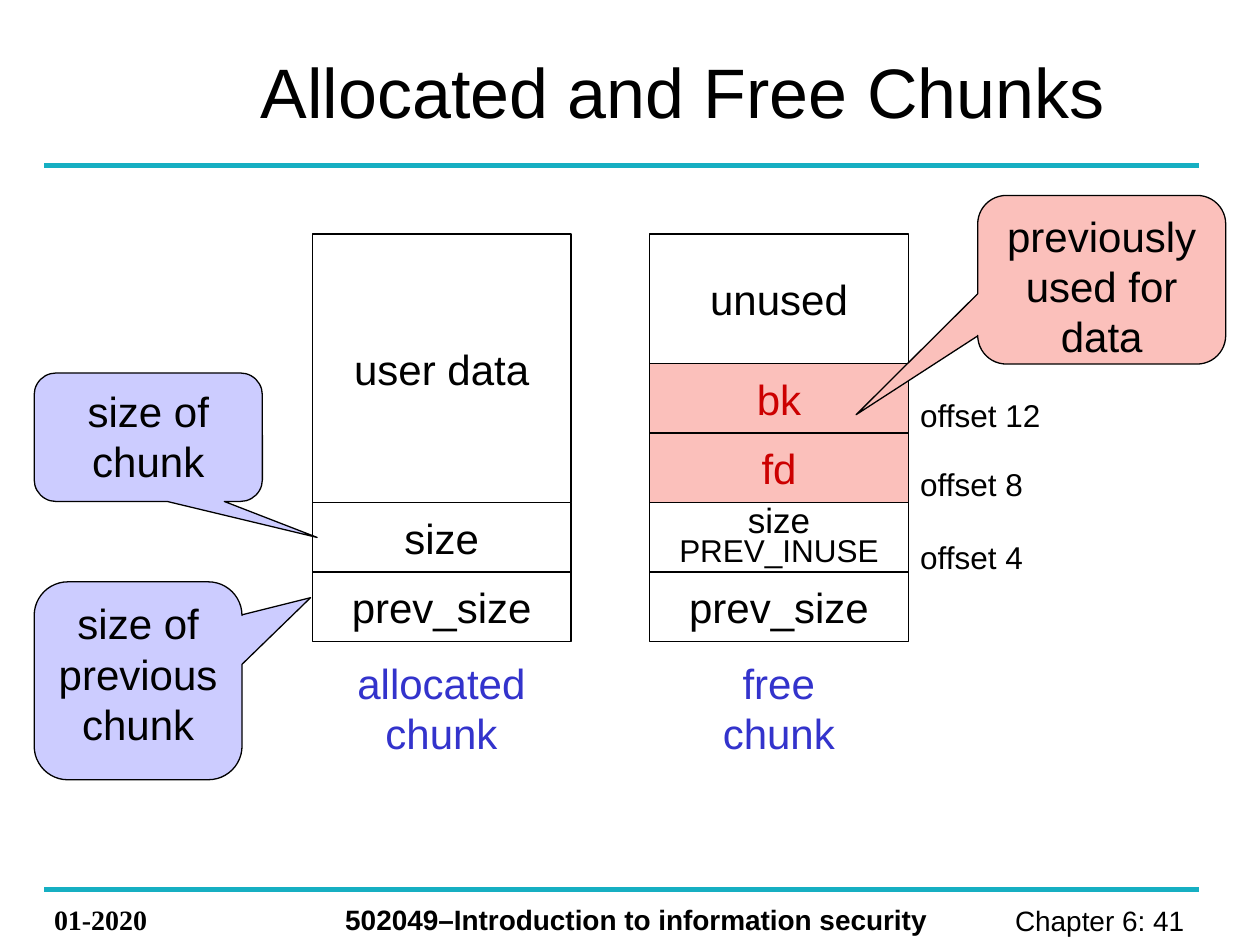
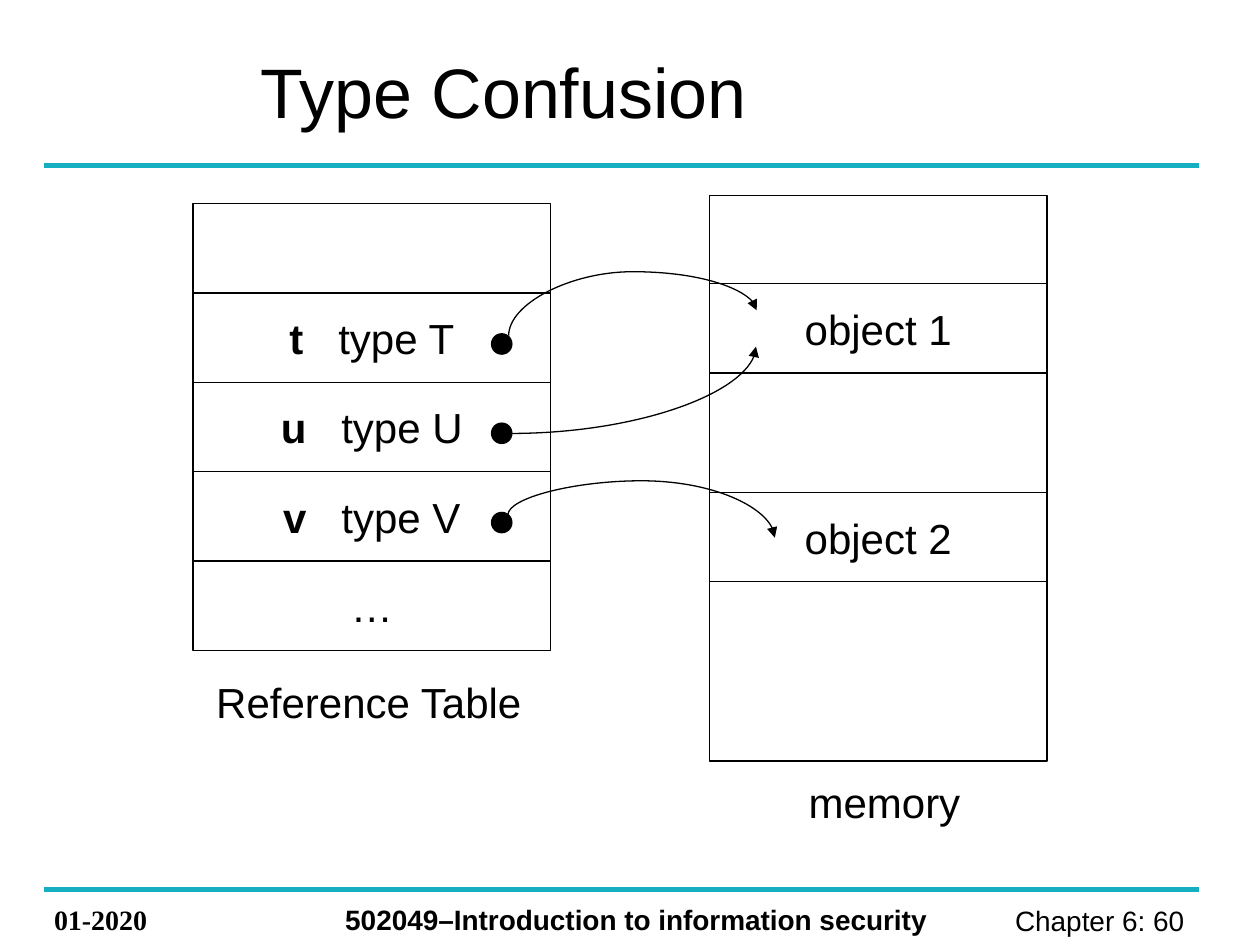
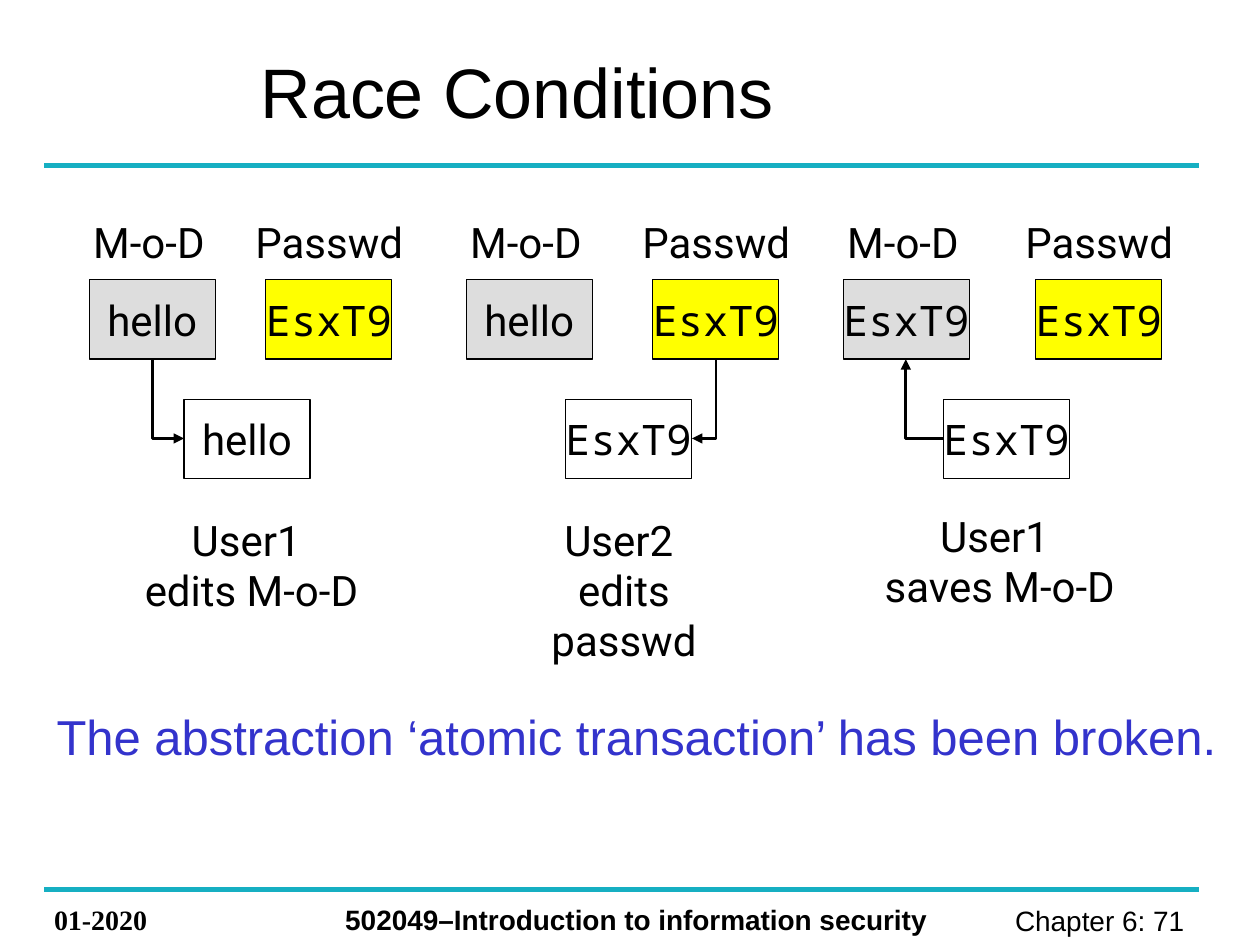
"""Three lecture slides on memory chunks, type confusion and race conditions."""
from dataclasses import dataclass, replace
from typing import Optional

from lxml import etree
from pptx import Presentation
from pptx import util as u
from pptx.dml.color import RGBColor
from pptx.enum import shapes, text
from pptx.oxml.ns import qn
from pptx.shapes.autoshape import Shape
from pptx.shapes.connector import Connector
from pptx.slide import Slide
from pptx.text.text import TextFrame

BLACK, BLUE, RED, TEAL = "000000", "3333CC", "CC0000", "16AFC2"
PINK, LILAC, GREY, YELLOW = "FBC0BB", "CCCCFF", "DDDDDD", "FFFF00"
SANS, SERIF, ROBOTO, MONO = "Arial", "Times New Roman", "Roboto", "Noto Sans Mono"
LEFT, CENTER, RIGHT = text.PP_ALIGN.LEFT, text.PP_ALIGN.CENTER, text.PP_ALIGN.RIGHT
RECT = shapes.MSO_SHAPE.RECTANGLE


@dataclass(frozen=True)
class Style:
    """Look of a text."""
    size: float = 24
    font: str = SANS
    color: str = BLACK
    bold: bool = False
    align: int = CENTER
    wrap: bool = False


@dataclass(frozen=True)
class Area:
    """Place and size in centimetres."""
    left: float
    top: float
    width: float
    height: float

    def lengths(self) -> tuple:
        """Return the four values as lengths."""
        return u.Cm(self.left), u.Cm(self.top), u.Cm(self.width), u.Cm(self.height)


@dataclass(frozen=True)
class Cell:
    """One block of a memory column."""
    label: str
    height: float
    fill: Optional[str] = None
    color: str = BLACK


@dataclass(frozen=True)
class Route:
    """A bent or curved arrow: its frame before turning, then how it is turned."""
    preset: str
    area: Area
    turn: int = 0
    flip: str = ""
    bend: Optional[int] = None


@dataclass(frozen=True)
class Step:
    """One stage of the race: box positions, contents, arrow and caption."""
    file_left: float
    secret_left: float
    copy_left: float
    file_text: str
    copy_text: str
    arrow: Route
    caption: str
    caption_area: Area


BODY = Style()
NOTE = Style(align=LEFT)
FOOTER = Style(size=16, bold=True, align=LEFT, wrap=True)


def rgb(color: str) -> RGBColor:
    """Turn a hex string into a colour."""
    return RGBColor.from_string(color)


def format_run(span, style: Style) -> None:
    """Give one run its size, font, weight and colour."""
    font = span.font
    font.size, font.name, font.bold = u.Pt(style.size), style.font, style.bold
    font.color.rgb = rgb(style.color)


def write(frame: TextFrame, words: str, style: Style) -> None:
    """Fill a text frame and format its runs."""
    frame.text = words
    frame.word_wrap = style.wrap
    for para in frame.paragraphs:
        para.alignment = style.align
        for span in para.runs:
            format_run(span, style)


def add_text(page: Slide, area: Area, words: str, style: Style = NOTE) -> None:
    """Add a text box that grows with its text."""
    frame = page.shapes.add_textbox(*area.lengths()).text_frame
    write(frame, words, style)
    frame.auto_size = text.MSO_AUTO_SIZE.SHAPE_TO_FIT_TEXT


def add_box(page: Slide, area: Area, words: str = "", fill: Optional[str] = None,
            style: Style = BODY, kind: int = RECT) -> Shape:
    """Add a thinly outlined shape with centred text."""
    box = page.shapes.add_shape(kind, *area.lengths())
    box.shadow.inherit = False
    if fill:
        box.fill.solid()
        box.fill.fore_color.rgb = rgb(fill)
    else:
        box.fill.background()
    box.line.color.rgb = rgb(BLACK)
    box.line.width = u.Pt(0.75)
    box.text_frame.vertical_anchor = text.MSO_ANCHOR.MIDDLE
    if words:
        write(box.text_frame, words, style)
    return box


def add_callout(page: Slide, area: Area, words: str, fill: str, tip: tuple) -> None:
    """Add a rounded speech bubble whose tip is given relative to its centre."""
    box = add_box(page, area, words, fill, replace(BODY, wrap=True),
                  shapes.MSO_SHAPE.ROUNDED_RECTANGULAR_CALLOUT)
    box.text_frame.vertical_anchor = text.MSO_ANCHOR.TOP
    for index, value in enumerate((*tip, 0.17)):
        box.adjustments[index] = value


def add_stack(page: Slide, left: float, top: float, width: float, cells: list) -> list:
    """Pile cells downwards and return their boxes."""
    boxes = []
    for cell in cells:
        boxes.append(add_box(page, Area(left, top, width, cell.height), cell.label,
                             cell.fill, replace(BODY, color=cell.color)))
        top += cell.height
    return boxes


def add_line(page: Slide, area: Area, color: str, weight: float) -> Connector:
    """Add a straight line across an area."""
    left, top, width, height = area.lengths()
    line = page.shapes.add_connector(shapes.MSO_CONNECTOR.STRAIGHT, left, top,
                                     left + width, top + height)
    line.line.color.rgb = rgb(color)
    line.line.width = u.Pt(weight)
    etree.SubElement(line.element.spPr, qn("a:effectLst"))
    return line


def add_arrow(page: Slide, route: Route, weight: float) -> None:
    """Add a bent or curved arrow."""
    arrow = add_line(page, route.area, BLACK, weight)
    props = arrow.element.spPr
    frame, shape = props.find(qn("a:xfrm")), props.find(qn("a:prstGeom"))
    frame.set("rot", str(route.turn * 60000))
    if route.flip:
        frame.set("flip" + route.flip, "1")
    shape.set("prst", route.preset)
    if route.bend is not None:
        etree.SubElement(shape.find(qn("a:avLst")), qn("a:gd"),
                         name="adj1", fmla=f"val {route.bend}")
    etree.SubElement(props.find(qn("a:ln")), qn("a:tailEnd"), type="triangle")


def add_page(deck, title: str, number: int) -> Slide:
    """Add a slide with title, two bands and footers."""
    page = deck.slides.add_slide(deck.slide_layouts[5])
    for top in (3.33, 17.93):
        add_line(page, Area(0.89, top, 23.29, 0), TEAL, 3)
    add_text(page, Area(18.69, 18.08, 5.59, 0.94), f"Chapter 6: {number} ",
             replace(FOOTER, bold=False, align=RIGHT))
    add_text(page, Area(0.84, 18.06, 3.38, 0.94), "01-2020", replace(FOOTER, font=SERIF))
    add_text(page, Area(6.71, 18.06, 12.8, 0.94),
             "502049–Introduction to information security", FOOTER)
    head = page.shapes.title
    head.left, head.top, head.width, head.height = Area(5, 0.71, 20.4, 2.21).lengths()
    write(head.text_frame, title, Style(size=40, align=LEFT, wrap=True))
    head.text_frame.vertical_anchor = text.MSO_ANCHOR.MIDDLE
    head.text_frame.auto_size = text.MSO_AUTO_SIZE.NONE
    return page


def draw_chunks(deck) -> None:
    """Compare an allocated chunk with a free one."""
    page = add_page(deck, "Allocated and Free Chunks", 41)
    top, width, unit = 4.72, 5.21, 1.4
    used_left, free_left = 6.3, 13.1
    add_stack(page, used_left, top, width, [
        Cell("user data", 5.41), Cell("size", unit), Cell("prev_size", unit)])
    free = add_stack(page, free_left, top, width, [
        Cell("unused", 2.61), Cell("bk", unit, PINK, RED), Cell("fd", unit, PINK, RED),
        Cell("size\nPREV_INUSE", unit), Cell("prev_size", unit)])
    for para, size, spacing in zip(free[3].text_frame.paragraphs, (20, 18), (0.8, 0.75)):
        para.line_spacing = spacing
        para.runs[0].font.size = u.Pt(size)
    for left, words in ((used_left, "allocated\nchunk"), (free_left, "free chunk")):
        add_text(page, Area(left + 0.57, 13.13, 4.06, 2.29), words,
                 Style(color=BLUE, wrap=True))
    add_callout(page, Area(0.69, 7.52, 4.6, 2.59), "size of chunk", LILAC, (0.74, 0.78))
    add_callout(page, Area(0.69, 11.73, 4.19, 3.99), "size of previous chunk", LILAC,
                (0.83, -0.42))
    add_callout(page, Area(19.71, 3.94, 5, 3.4), "previously used for data", PINK,
                (-0.99, 0.8))
    for offset, offset_top, label_width in ((4, 10.72, 2.59), (8, 9.25, 2.59),
                                            (12, 7.85, 2.95)):
        add_text(page, Area(18.3, offset_top, label_width, 1.02), f"offset {offset}",
                 replace(NOTE, size=18))


def draw_confusion(deck) -> None:
    """Show two references of different type to one object."""
    page = add_page(deck, "Type Confusion", 60)
    row = 1.8
    labels = ["", "t", "u", "v", "…"]
    rows = add_stack(page, 3.89, 4.11, 7.21, [Cell(label, row) for label in labels])
    for index, box in enumerate(rows[1:4]):
        para = box.text_frame.paragraphs[0]
        name = para.runs[0]
        name.font.bold = True
        gap, kind = para.add_run(), para.add_run()
        gap.text, kind.text = " ", f"type {name.text.upper()}"
        for span in (gap, kind):
            format_run(span, BODY)
        gap.font._element.set("spc", "1330")
        add_box(page, Area(9.91, 6.73 + index * row, 0.41, 0.41), fill=BLACK,
                kind=shapes.MSO_SHAPE.OVAL)
    memory_left, memory_width = 14.3, 6.81
    for top, height, words in ((5.72, row, "object 1"), (9.93, row, "object 2"),
                               (3.94, 11.4, "")):
        add_box(page, Area(memory_left, top, memory_width, height), words)
    for route in (
            Route("curvedConnector3", Area(12.5, 4.01, 0.51, 5), 270, bend=252600),
            Route("curvedConnector2", Area(10.29, 6.99, 4.95, 1.75), flip="V"),
            Route("curvedConnector3", Area(12.7, 7.92, 0.46, 5.38), 90, "V", -149500)):
        add_arrow(page, route, 0.75)
    add_text(page, Area(4.11, 13.51, 6.78, 1.27), "Reference Table")
    add_text(page, Area(16.05, 15.52, 3.58, 1.27), "memory")


def draw_race(deck) -> None:
    """Show three stages of a lost update."""
    page = add_page(deck, "Race Conditions", 71)
    bend, secret = "bentConnector2", "EsxT9"
    steps = [
        Step(1.8, 5.36, 3.71, "hello", "hello",
             Route(bend, Area(2.59, 7.72, 1.6, 0.64), 270, "H"),
             "User1 \nedits M-o-D", Area(2.62, 10.24, 4.9, 2.29)),
        Step(9.4, 13.16, 11.4, "hello", secret,
             Route(bend, Area(13.39, 7.8, 1.6, 0.48), 90),
             "User2 \nedits passwd", Area(9.93, 10.24, 5.3, 2.29)),
        Step(17, 20.88, 19.02, secret, secret,
             Route(bend, Area(18.26, 7.24, 0.76, 1.6), 180),
             "User1 \nsaves M-o-D", Area(17.5, 10.16, 5.31, 2.29)),
    ]
    label = replace(NOTE, font=ROBOTO)
    for step in steps:
        add_text(page, Area(step.file_left - 0.17, 4.24, 2.87, 1.27), "M-o-D", label)
        add_text(page, Area(step.secret_left - 0.46, 4.24, 3.48, 1.27), "Passwd", label)
        for left, top, words, fill in ((step.file_left, 5.64, step.file_text, GREY),
                                       (step.secret_left, 5.64, secret, YELLOW),
                                       (step.copy_left, 8.05, step.copy_text, None)):
            font = MONO if words == secret else ROBOTO
            add_box(page, Area(left, top, 2.54, 1.6), words, fill, replace(BODY, font=font))
        add_arrow(page, step.arrow, 1.5)
        add_text(page, step.caption_area, step.caption, Style(font=ROBOTO, wrap=True))
    add_text(page, Area(0.89, 14.12, 24, 1.45),
             "The abstraction ‘atomic transaction’ has been broken.",
             replace(NOTE, size=28, color=BLUE))


def main() -> None:
    """Build and save the deck."""
    deck = Presentation()
    deck.slide_width, deck.slide_height = u.Cm(25.4), u.Cm(19.05)
    for draw in (draw_chunks, draw_confusion, draw_race):
        draw(deck)
    deck.save("out.pptx")


main()
